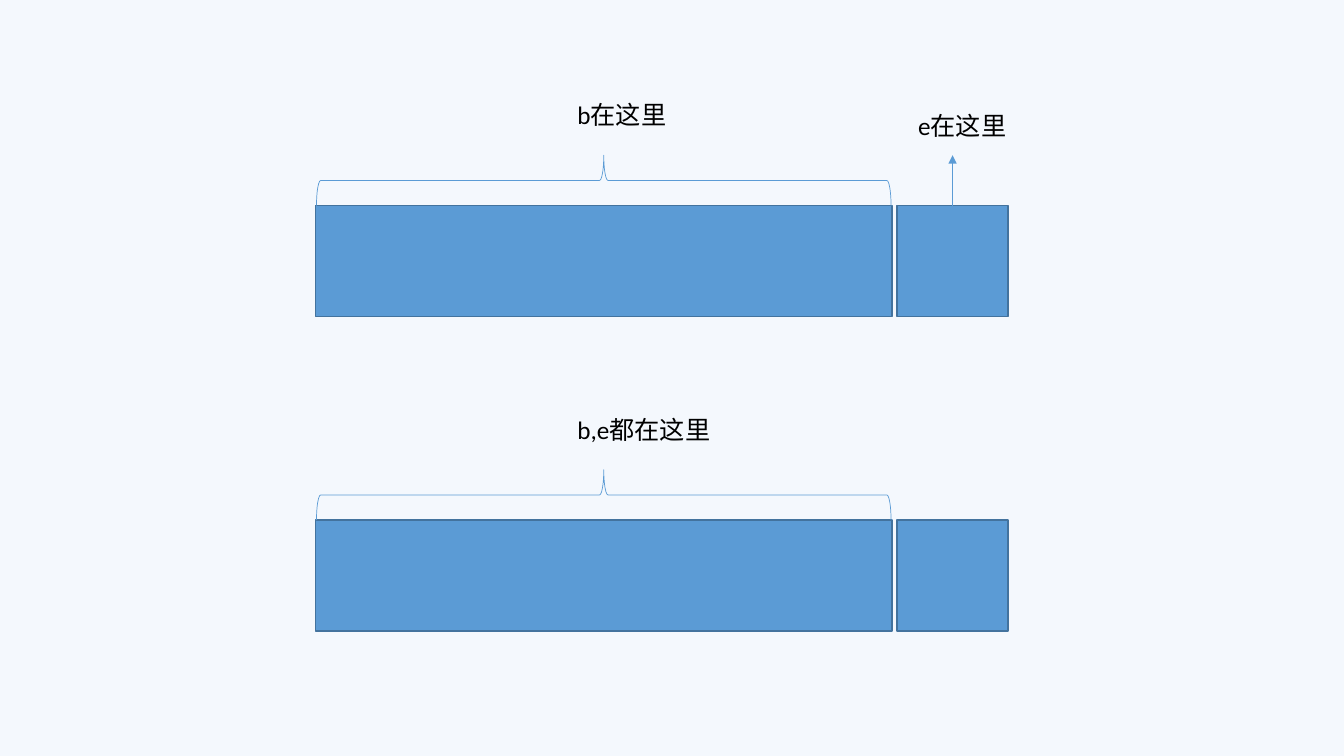
from lxml.etree import SubElement
from pptx import Presentation
from pptx.dml.color import RGBColor
from pptx.enum.shapes import MSO_CONNECTOR as Connector, MSO_SHAPE as Preset
from pptx.enum.text import MSO_AUTO_SIZE as AutoSize
from pptx.oxml.ns import qn
from pptx.util import Pt

BAR_LEFT, BAR_WIDTH, BAR_HEIGHT = 225.4, 411.8, 79.2
BOX_LEFT = 640.8
BRACE_LEFT, BRACE_WIDTH, BRACE_DEPTH = 226.1, 410.4, 36
LABEL_LEFT, LABEL_RISE = 405.4, 79.2
ROWS = [(146.9, "b在这里"), (371.5, "b,e都在这里")]


def color(value):
    """Turn a hex string into a colour."""
    return RGBColor.from_string(value)


class Diagram:
    """Hold the style and the current slide."""

    font, size, text = "Calibri", 18, "000000"
    fill, border, accent = "5B9BD5", "43739E", "5B9BD5"
    background = "F4F8FD"

    def __init__(self, slide):
        """Take the slide and paint its background."""
        self.slide = slide
        slide.background.fill.solid()
        slide.background.fill.fore_color.rgb = color(self.background)

    def stroke(self, line, value, width):
        """Set the colour and width of a line."""
        line.color.rgb = color(value)
        line.width = Pt(width)

    def block(self, left, top, width, height):
        """Draw a filled rectangle."""
        shape = self.slide.shapes.add_shape(
            Preset.RECTANGLE, Pt(left), Pt(top), Pt(width), Pt(height))
        shape.shadow.inherit = False
        shape.fill.solid()
        shape.fill.fore_color.rgb = color(self.fill)
        self.stroke(shape.line, self.border, 1)

    def brace(self, left, bottom, width, depth):
        """Draw a brace that lies on its side and points up."""
        center_x, center_y = left + width / 2, bottom - depth / 2
        shape = self.slide.shapes.add_shape(
            Preset.RIGHT_BRACE, Pt(center_x - depth / 2),
            Pt(center_y - width / 2), Pt(depth), Pt(width))
        shape.rotation = 270
        shape.shadow.inherit = False
        shape.fill.background()
        self.stroke(shape.line, self.accent, 0.5)

    def arrow_up(self, x, bottom, length):
        """Draw a vertical arrow that points up."""
        connector = self.slide.shapes.add_connector(
            Connector.STRAIGHT, Pt(x), Pt(bottom), Pt(x), Pt(bottom - length))
        self.stroke(connector.line, self.accent, 0.5)
        SubElement(connector.line._get_or_add_ln(), qn("a:tailEnd"), type="triangle")
        SubElement(connector._element.spPr, qn("a:effectLst"))

    def label(self, left, top, wording):
        """Write a one-line label."""
        box = self.slide.shapes.add_textbox(Pt(left), Pt(top), Pt(198), Pt(29))
        frame = box.text_frame
        frame.word_wrap = True
        frame.auto_size = AutoSize.SHAPE_TO_FIT_TEXT
        run = frame.paragraphs[0].add_run()
        run.text = wording
        run.font.name = self.font
        run.font.size = Pt(self.size)
        run.font.color.rgb = color(self.text)


def main():
    """Build the slide and save it."""
    presentation = Presentation()
    presentation.slide_width, presentation.slide_height = Pt(960), Pt(540)
    diagram = Diagram(presentation.slides.add_slide(presentation.slide_layouts[6]))
    for top, wording in ROWS:
        diagram.block(BAR_LEFT, top, BAR_WIDTH, BAR_HEIGHT)
        diagram.block(BOX_LEFT, top, BAR_HEIGHT, BAR_HEIGHT)
        diagram.brace(BRACE_LEFT, top, BRACE_WIDTH, BRACE_DEPTH)
        diagram.label(LABEL_LEFT, top - LABEL_RISE, wording)
    first_top = ROWS[0][0]
    diagram.arrow_up(BOX_LEFT + BAR_HEIGHT / 2, first_top, BRACE_DEPTH)
    diagram.label(648.7, first_top - 72, "e在这里")
    presentation.save("out.pptx")


main()
